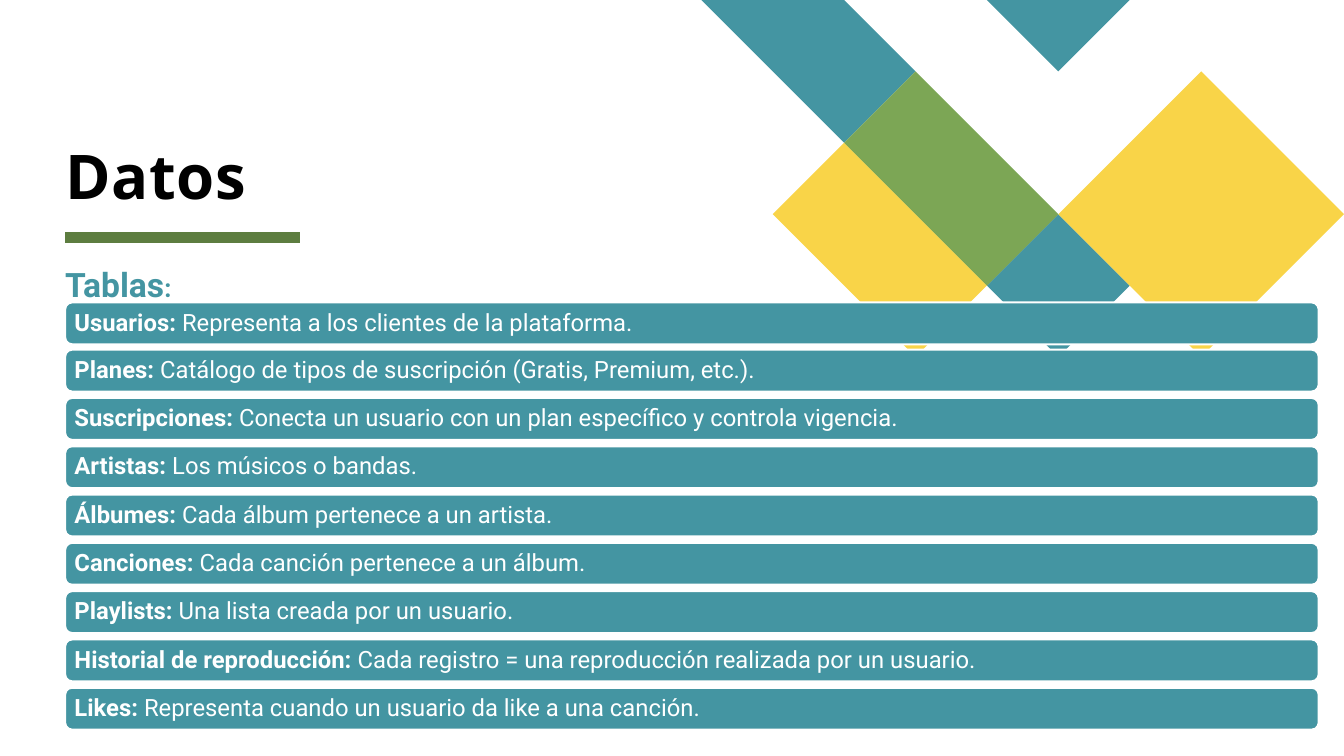
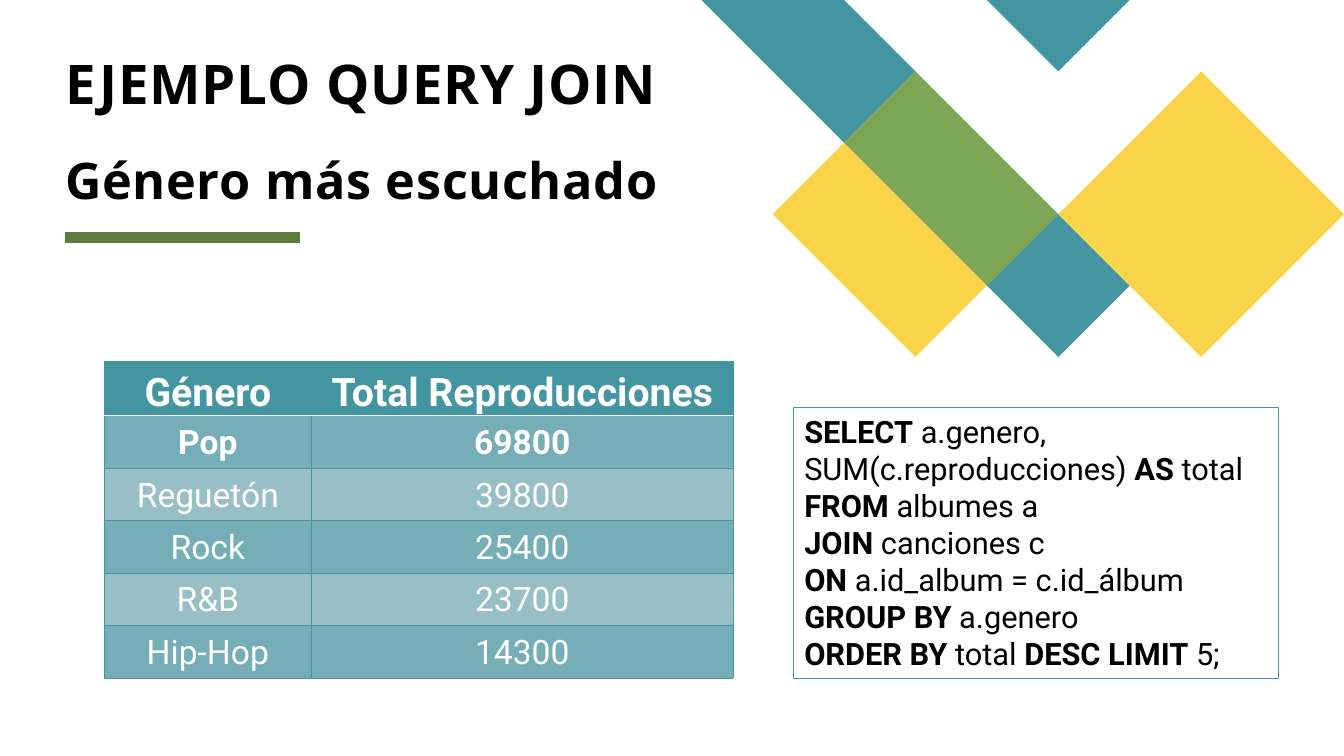
from lxml.etree import SubElement
from pptx import Presentation
from pptx.dml.color import RGBColor
from pptx.enum.shapes import MSO_CONNECTOR, MSO_SHAPE
from pptx.enum.text import MSO_ANCHOR, PP_ALIGN
from pptx.oxml.ns import qn
from pptx.util import Emu, Pt

PX = 9525  # EMU in one px, 96 px to the inch
COLORS = {
    "teal": "4495A2", "yellow": "F9D448", "green": "7CA655", "rule": "5D7D40",
    "row_dark": "76AEB8", "row_light": "99BFC6", "white": "FFFFFF", "black": "000000",
}
HEADING = {"name": "Open Sans", "bold": True}
BODY = {"name": "Roboto"}
LEFT = 62

# Corners of the diamonds, in steps of a square grid
GRID_LEFT, GRID_STEP = 668, 68
DIAMONDS = [
    ("teal", [(3, 1), (2, 0), (0, 0), (2, 2)]),
    ("teal", [(6, 4), (5, 3), (4, 4), (5, 5)]),
    ("yellow", [(2, 2), (1, 3), (3, 5), (4, 4)]),
    ("teal", [(6, 0), (4, 0), (5, 1)]),
    ("green", [(3, 1), (2, 2), (4, 4), (5, 3)]),
    ("yellow", [(9, 3), (7, 1), (5, 3), (7, 5)]),
]

ENTITIES = [
    "*Usuarios:* Representa a los clientes de la plataforma.",
    "*Planes:* Catálogo de tipos de suscripción (Gratis, Premium, etc.).",
    "*Suscripciones:* Conecta un usuario con un plan específico y controla vigencia.",
    "*Artistas:* Los músicos o bandas.",
    "*Álbumes:* Cada álbum pertenece a un artista.",
    "*Canciones:* Cada canción pertenece a un álbum.",
    "*Playlists:* Una lista creada por un usuario.",
    "*Historial de reproducción:* Cada registro = una reproducción realizada por un usuario.",
    "*Likes:* Representa cuando un usuario da like a una canción.",
]

GENRES = [
    ("Género", "Total Reproducciones"),
    ("Pop", "69800"),
    ("Reguetón", "39800"),
    ("Rock", "25400"),
    ("R&B", "23700"),
    ("Hip-Hop", "14300"),
]

QUERY = [
    "*SELECT* a.genero,",
    "SUM(c.reproducciones) *AS* total",
    "*FROM* albumes a",
    "*JOIN* canciones c",
    "*ON* a.id_album = c.id_álbum",
    "*GROUP BY* a.genero",
    "*ORDER BY* total *DESC LIMIT* 5;",
]


def px(*lengths):
    return [Emu(length * PX) for length in lengths]


def rgb(name):
    return RGBColor.from_string(COLORS[name])


def set_all(target, values):
    for name, value in values.items():
        setattr(target, name, value)


def add_span(para, text, size, color, font, tracking=0):
    span = para.add_run()
    span.text = text
    set_all(span.font, {"size": Pt(size), **font})
    span.font.color.rgb = rgb(color)
    if tracking:
        span.font._rPr.set("spc", str(tracking))


def add_marked_text(para, text, size, color):
    """Write body text, with the parts between asterisks in bold."""
    for index, part in enumerate(text.split("*")):
        if part:
            add_span(para, part, size, color, {**BODY, "bold": index % 2 == 1})


def set_frame(frame, anchor, side=0, top=0):
    side, top = px(side, top)
    set_all(frame, {
        "word_wrap": True, "vertical_anchor": anchor,
        "margin_left": side, "margin_right": side,
        "margin_top": top, "margin_bottom": top,
    })


def add_text_box(page, top, width, height, anchor=MSO_ANCHOR.TOP):
    box = page.shapes.add_textbox(*px(LEFT, top, width, height))
    set_frame(box.text_frame, anchor)
    return box.text_frame.paragraphs[0]


def add_heading(page, text, size, top, height, anchor=MSO_ANCHOR.TOP):
    para = add_text_box(page, top, 712, height, anchor)
    para.line_spacing = 0.8
    add_span(para, text, size, "black", HEADING, tracking=50)


def add_panel(page, preset, place, line, weight, fill=None):
    panel = page.shapes.add_shape(preset, *px(*place))
    panel.shadow.inherit = False
    if fill:
        panel.fill.solid()
        panel.fill.fore_color.rgb = rgb(fill)
    else:
        panel.fill.background()
    panel.line.color.rgb = rgb(line)
    panel.line.width = Pt(weight)
    return panel.text_frame


def add_diamond(page, color, corners):
    points = [(GRID_LEFT + GRID_STEP * column, GRID_STEP * row) for column, row in corners]
    builder = page.shapes.build_freeform(*points[0], scale=PX)
    builder.add_line_segments(points[1:], close=True)
    diamond = builder.convert_to_shape()
    diamond.shadow.inherit = False
    diamond.fill.solid()
    diamond.fill.fore_color.rgb = rgb(color)
    diamond.line.fill.background()


def add_page(deck):
    """Add a blank page with the diamonds and the rule under the title."""
    page = deck.slides.add_slide(deck.slide_layouts[6])
    for color, corners in DIAMONDS:
        add_diamond(page, color, corners)
    rule = page.shapes.add_connector(MSO_CONNECTOR.STRAIGHT, *px(LEFT, 226, 286, 226))
    rule.line.color.rgb = rgb("rule")
    rule.line.width = Pt(8)
    SubElement(rule._element.spPr, qn("a:effectLst"))
    return page


def add_entity_rows(page):
    first, last, gaps = 288, 655, len(ENTITIES) - 1
    for index, entity in enumerate(ENTITIES):
        top = first + (last - first) * index // gaps
        frame = add_panel(page, MSO_SHAPE.ROUNDED_RECTANGLE, (LEFT, top, 1194, 40),
                          "white", 1.5, fill="teal")
        set_frame(frame, MSO_ANCHOR.MIDDLE, side=7, top=7)
        para = frame.paragraphs[0]
        set_all(para, {"alignment": PP_ALIGN.LEFT, "line_spacing": 0.9})
        add_marked_text(para, entity, 17, "white")


def set_border(cell, side, color, weight):
    line = SubElement(cell._tc.get_or_add_tcPr(), qn(f"a:ln{side}"), w=str(Pt(weight)))
    fill = SubElement(line, qn("a:solidFill"))
    SubElement(fill, qn("a:srgbClr"), val=COLORS[color])


def format_cell(cell, text, row):
    header = row == 0
    side, bottom = px(2, 0)
    set_all(cell, {
        "margin_left": side, "margin_right": side,
        "margin_top": side, "margin_bottom": bottom,
        "vertical_anchor": MSO_ANCHOR.BOTTOM if header else MSO_ANCHOR.MIDDLE,
    })
    for edge in "LRTB":
        under_header = (row, edge) in ((0, "B"), (1, "T"))
        set_border(cell, edge, *(("white", 1) if under_header else ("teal", 0.5)))
    cell.fill.solid()
    fill = "teal" if header else ("row_light", "row_dark")[row % 2]
    cell.fill.fore_color.rgb = rgb(fill)
    para = cell.text_frame.paragraphs[0]
    para.alignment = PP_ALIGN.CENTER
    add_span(para, text, 28 if header else 24, "white", {**BODY, "bold": row < 2})


def add_genre_table(page):
    widths, heights = (198, 401), (52, 50, 50, 50, 50, 50)
    place = px(99, 344, sum(widths), sum(heights))
    table = page.shapes.add_table(len(GENRES), len(widths), *place).table
    for column, width in zip(table.columns, px(*widths)):
        column.width = width
    for row, height in zip(table.rows, px(*heights)):
        row.height = height
    for row, texts in enumerate(GENRES):
        for column, text in enumerate(texts):
            format_cell(table.cell(row, column), text, row)


def add_query(page):
    frame = add_panel(page, MSO_SHAPE.RECTANGLE, (756, 388, 462, 258), "teal", 0.75)
    set_frame(frame, MSO_ANCHOR.TOP, side=10, top=5)
    for index, text in enumerate(QUERY):
        para = frame.add_paragraph() if index else frame.paragraphs[0]
        para.alignment = PP_ALIGN.LEFT
        add_marked_text(para, text, 22, "black")


def add_data_page(deck):
    page = add_page(deck)
    add_heading(page, "Datos", 44, 34, 167, MSO_ANCHOR.BOTTOM)
    subtitle = add_text_box(page, 251, 622, 46)
    add_span(subtitle, "Tablas", 24, "teal", {**BODY, "bold": True})
    add_span(subtitle, ":", 18, "teal", {**BODY, "bold": True})
    add_entity_rows(page)


def add_query_page(deck):
    page = add_page(deck)
    add_heading(page, "EJEMPLO QUERY JOIN", 39, 60, 56)
    add_heading(page, "Género más escuchado", 36, 153, 56)
    add_genre_table(page)
    add_query(page)


def main():
    deck = Presentation()
    deck.slide_width, deck.slide_height = px(1280, 720)
    add_data_page(deck)
    add_query_page(deck)
    deck.save("out.pptx")


if __name__ == "__main__":
    main()
